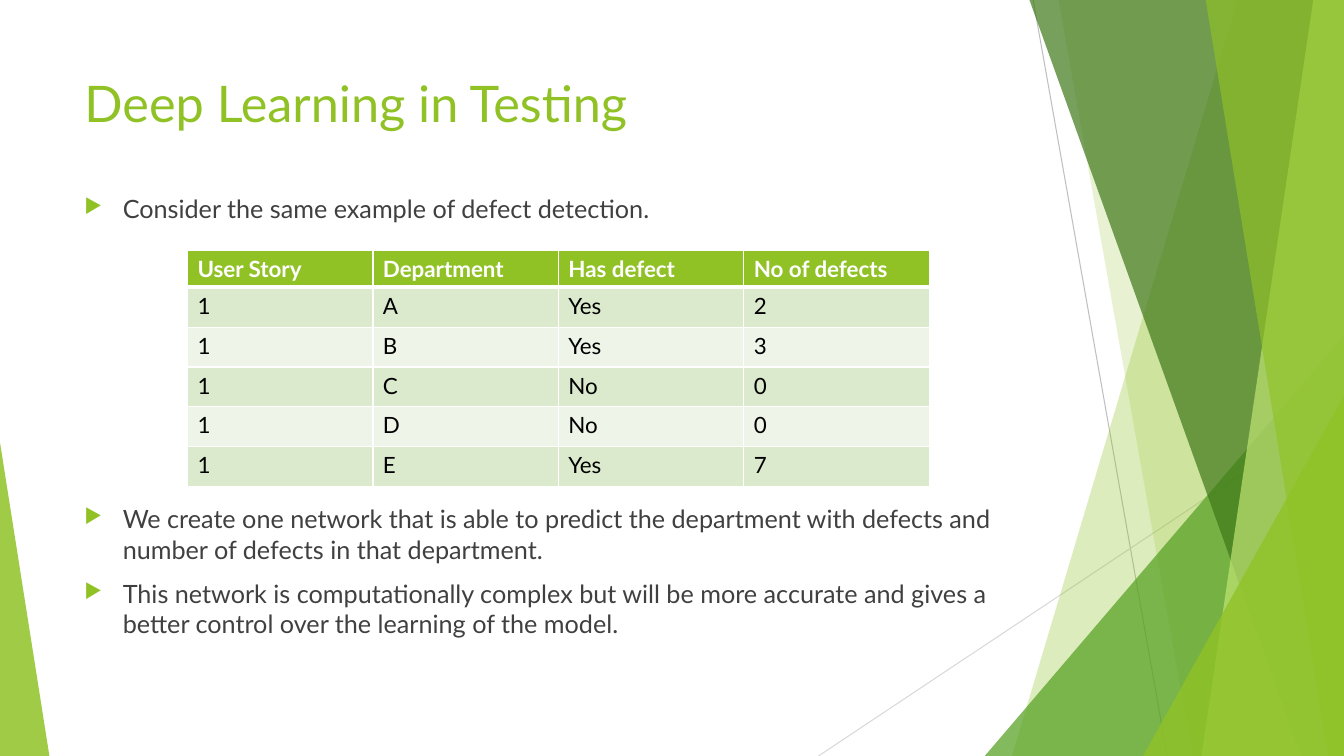
from dataclasses import dataclass

from lxml import etree
from pptx import Presentation
from pptx.dml.color import RGBColor
from pptx.enum.shapes import MSO_CONNECTOR, MSO_SHAPE
from pptx.oxml.ns import qn
from pptx.util import Emu, Inches, Pt

STRAIGHT = MSO_CONNECTOR.STRAIGHT
TRIANGLE = MSO_SHAPE.ISOSCELES_TRIANGLE

WIDE, HIGH = 133.33, 75  # columns and rows of the slide grid, 0.1 inch each


@dataclass(frozen=True)
class Theme:
    font: str = "Lato"
    title_size: int = 36
    body_size: int = 18
    table_size: int = 16
    accent: str = "90C226"
    leaf: str = "54A021"
    forest: str = "3F7819"
    lime: str = "C0E474"
    body: str = "404040"
    white: str = "FFFFFF"
    black: str = "000000"
    band_dark: str = "DBE9CD"
    band_light: str = "EEF4E8"
    hairline_dark: str = "BFBFBF"
    hairline_light: str = "D9D9D9"


def grid(units):
    return Inches(units / 10)


def add_xml(parent, tag, **attributes):
    return etree.SubElement(parent, qn(tag), attributes)


def write(paragraph, text, *, font, size, color, bold=False, before=0):
    paragraph.space_before = Pt(before)
    run = paragraph.add_run()
    run.text = text
    run.font.name = font
    run.font.size = Pt(size)
    run.font.bold = bold
    run.font.color.rgb = RGBColor.from_string(color)


def add_bullet(paragraph, color):
    """Give the paragraph a hanging triangle bullet."""
    props = paragraph._p.get_or_add_pPr()
    props.set("marL", str(Inches(0.38)))
    props.set("indent", str(-Inches(0.38)))
    add_xml(add_xml(props, "a:buClr"), "a:srgbClr", val=color)
    add_xml(props, "a:buSzPct", val="80000")
    add_xml(props, "a:buChar", char="▶")


def set_borders(cell, color, bottom):
    """Draw 1 pt borders around a cell, with its own width at the bottom."""
    props = cell._tc.get_or_add_tcPr()
    for place, (side, width) in enumerate(
            (("L", 1), ("R", 1), ("T", 1), ("B", bottom))):
        border = add_xml(props, f"a:ln{side}", w=str(Pt(width)))
        add_xml(add_xml(border, "a:solidFill"), "a:srgbClr", val=color)
        props.insert(place, border)


class SlideBuilder:
    def __init__(self, slide, theme):
        self.shapes = slide.shapes
        self.theme = theme

    def hairline(self, start, end, color):
        line = self.shapes.add_connector(STRAIGHT, *map(grid, start + end))
        line.line.color.rgb = RGBColor.from_string(color)
        line.line.width = Pt(0.75)
        add_xml(line._element.spPr, "a:effectLst")

    def paint(self, shape, color, opacity):
        shape.shadow.inherit = False
        shape.line.fill.background()
        shape.fill.solid()
        shape.fill.fore_color.rgb = RGBColor.from_string(color)
        tint = shape._element.spPr.find(".//" + qn("a:srgbClr"))
        add_xml(tint, "a:alpha", val=str(opacity * 1000))

    def ribbon(self, top_left, bottom_left, color, opacity):
        """Fill from a slanted left edge to the right edge of the slide."""
        corners = [(top_left, -0.1), (WIDE, -0.1), (WIDE, HIGH),
                   (bottom_left, HIGH)]
        first, *rest = [(grid(x), grid(y)) for x, y in corners]
        outline = self.shapes.build_freeform(*first, scale=1.0)
        outline.add_line_segments(rest, close=True)
        self.paint(outline.convert_to_shape(), color, opacity)

    def corner(self, left, right, top, apex, color, opacity):
        """Stand a right triangle on the bottom edge, apex 0 left or 1 right."""
        box = (left, top, right - left, HIGH - top)
        triangle = self.shapes.add_shape(TRIANGLE, *map(grid, box))
        triangle.adjustments[0] = apex
        self.paint(triangle, color, opacity)

    def text_frame(self, *box):
        frame = self.shapes.add_textbox(*map(grid, box)).text_frame
        frame.word_wrap = True
        return frame

    def title(self, text, *box):
        theme = self.theme
        write(self.text_frame(*box).paragraphs[0], text, font=theme.font,
              size=theme.title_size, color=theme.accent)

    def bullets(self, points, *box):
        theme = self.theme
        frame = self.text_frame(*box)
        for index, (text, before) in enumerate(points):
            point = frame.add_paragraph() if index else frame.paragraphs[0]
            write(point, text, font=theme.font, size=theme.body_size,
                  color=theme.body, before=before)
            add_bullet(point, theme.accent)

    def table(self, records, left, top, column, header_row, body_row):
        theme = self.theme
        count = len(records[0])
        height = header_row + body_row * (len(records) - 1)
        table = self.shapes.add_table(
            len(records), count,
            *map(grid, (left, top, column * count, height))).table
        for table_column in table.columns:
            table_column.width = grid(column)
        for r, record in enumerate(records):
            header = r == 0
            table.rows[r].height = grid(header_row if header else body_row)
            band = theme.band_dark if r % 2 else theme.band_light
            for c, value in enumerate(record):
                cell = table.cell(r, c)
                cell.fill.solid()
                cell.fill.fore_color.rgb = RGBColor.from_string(
                    theme.accent if header else band)
                set_borders(cell, theme.white, bottom=3 if header else 1)
                write(cell.text_frame.paragraphs[0], value, font=theme.font,
                      size=theme.table_size, bold=header,
                      color=theme.white if header else theme.black)


def main():
    deck = Presentation()
    deck.slide_width, deck.slide_height = Emu(12192000), Inches(7.5)
    theme = Theme()
    page = SlideBuilder(deck.slides.add_slide(deck.slide_layouts[6]), theme)

    page.hairline((102.5, 0), (115.8, HIGH), theme.hairline_dark)
    page.hairline((WIDE, 40.3), (81.2, HIGH), theme.hairline_light)
    page.ribbon(122.8, 100.4, theme.accent, 30)
    page.ribbon(105, 118.3, theme.accent, 20)
    page.corner(97.7, WIDE, 33.3, 1, theme.leaf, 72)
    page.ribbon(102.1, 129.1, theme.forest, 70)
    page.ribbon(130.3, 119.2, theme.lime, 70)
    page.ribbon(119.6, 131.8, theme.accent, 65)
    page.corner(113.4, WIDE, 39.3, 1, theme.accent, 80)
    page.corner(0, 4.9, 43.9, 0, theme.accent, 85)

    page.title("Deep Learning in Testing", 7.4, 6.7, 94, 14.4)
    table_gap = 200  # points left free for the table below the first bullet
    page.bullets([
        ("Consider the same example of defect detection.", 10),
        ("We create one network that is able to predict the department with "
         "defects and number of defects in that department.", table_gap),
        ("This network is computationally complex but will be more accurate "
         "and gives a better control over the learning of the model.", 10),
    ], 7.4, 18.7, 94, 53.6)
    page.table([
        ("User Story", "Department", "Has defect", "No of defects"),
        ("1", "A", "Yes", "2"),
        ("1", "B", "Yes", "3"),
        ("1", "C", "No", "0"),
        ("1", "D", "No", "0"),
        ("1", "E", "Yes", "7"),
    ], 18.6, 24.8, column=18.4, header_row=3.7, body_row=3.96)

    deck.save("out.pptx")


if __name__ == "__main__":
    main()
